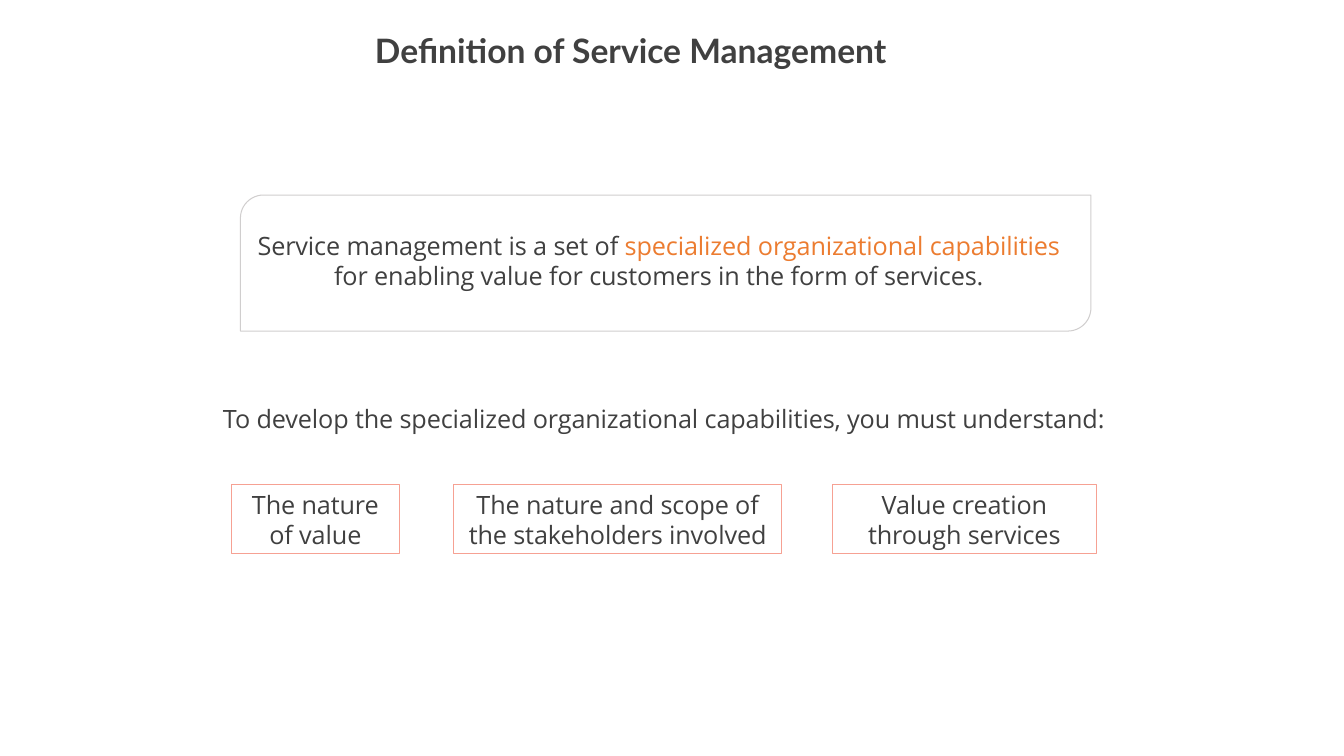
from pptx import Presentation
from pptx.dml.color import RGBColor
from pptx.enum.shapes import MSO_SHAPE as Shape
from pptx.enum.text import MSO_ANCHOR as Anchor, PP_ALIGN as Align
from pptx.util import Inches, Pt

COLORS = {"ink": "404040", "accent": "EC7C30", "panel": "D0CECE", "box": "F6A193"}
WIDTH, HEIGHT = Inches(17.78), Inches(10)
COLUMNS, ROWS = 160, 90


class ServiceSlide:
    """Holds the style and the current slide; lengths are grid columns and rows."""

    body_font, body_size = "Open Sans", 24
    title_font, title_size = "Lato", 32
    tracking = "-10"  # hundredths of a point

    def __init__(self, deck):
        self.slide = deck.slides.add_slide(deck.slide_layouts[6])

    def place(self, left, top, width, height):
        return (round(left * WIDTH / COLUMNS), round(top * HEIGHT / ROWS),
                round(width * WIDTH / COLUMNS), round(height * HEIGHT / ROWS))

    def fill_text(self, shape, lines, align, inset=0.02, title=False):
        """Set lines, each a list of (text, colour name) pairs."""
        frame = shape.text_frame
        frame.word_wrap = True
        frame.vertical_anchor = Anchor.TOP
        frame.margin_left = frame.margin_right = frame.margin_bottom = 0
        frame.margin_top = Inches(inset)
        paragraph = frame.paragraphs[0]
        paragraph.alignment = align
        for number, line in enumerate(lines):
            if number:
                paragraph.add_line_break()
            for text, color in line:
                run = paragraph.add_run()
                run.text = text
                run.font.name = self.title_font if title else self.body_font
                run.font.size = Pt(self.title_size if title else self.body_size)
                run.font.bold = title
                run.font.color.rgb = RGBColor.from_string(COLORS[color])
                if not title:
                    run._r.get_or_add_rPr().set("spc", self.tracking)

    def text(self, area, lines, align=Align.LEFT, title=False):
        box = self.slide.shapes.add_textbox(*self.place(*area))
        self.fill_text(box, lines, align, title=title)

    def outline(self, kind, area, color, weight):
        shape = self.slide.shapes.add_shape(kind, *self.place(*area))
        shape.shadow.inherit = False
        shape.fill.background()
        shape.line.color.rgb = RGBColor.from_string(COLORS[color])
        shape.line.width = Pt(weight)
        return shape

    def panel(self, area):
        shape = self.outline(Shape.ROUND_2_DIAG_RECTANGLE, area, "panel", 0.96)
        shape.adjustments[0] = 0.17
        shape.adjustments[1] = 0

    def topic(self, area, lines):
        shape = self.outline(Shape.RECTANGLE, area, "box", 0.72)
        self.fill_text(shape, [[(line, "ink")] for line in lines], Align.CENTER,
                       inset=0.06)


def main():
    deck = Presentation()
    deck.slide_width, deck.slide_height = WIDTH, HEIGHT
    page = ServiceSlide(deck)

    # Title
    page.text((44.64, 3.42, 70.8, 5), [[("Definition of Service Management", "ink")]],
              title=True)

    # Definition
    page.panel((28.62, 23.22, 101.25, 16.2))
    page.text((29.97, 27.18, 96.9, 7.5), [
        [("Service management is a set of ", "ink"),
         ("specialized organizational capabilities", "accent")],
        [("for enabling value for customers in the form of services.", "ink")],
    ], Align.CENTER)

    # Topics to understand
    page.text((26.55, 47.8, 106.5, 3.9), [[(
        "To develop the specialized organizational capabilities, you must understand:",
        "ink")]])
    topics = [
        (27.54, 20, ["The nature", "of value"]),
        (54, 39.06, ["The nature and scope of", "the stakeholders involved"]),
        (99.1, 31.4, ["Value creation", "through services"]),
    ]
    for left, width, lines in topics:
        page.topic((left, 57.69, width, 8.25), lines)

    deck.save("out.pptx")


if __name__ == "__main__":
    main()
